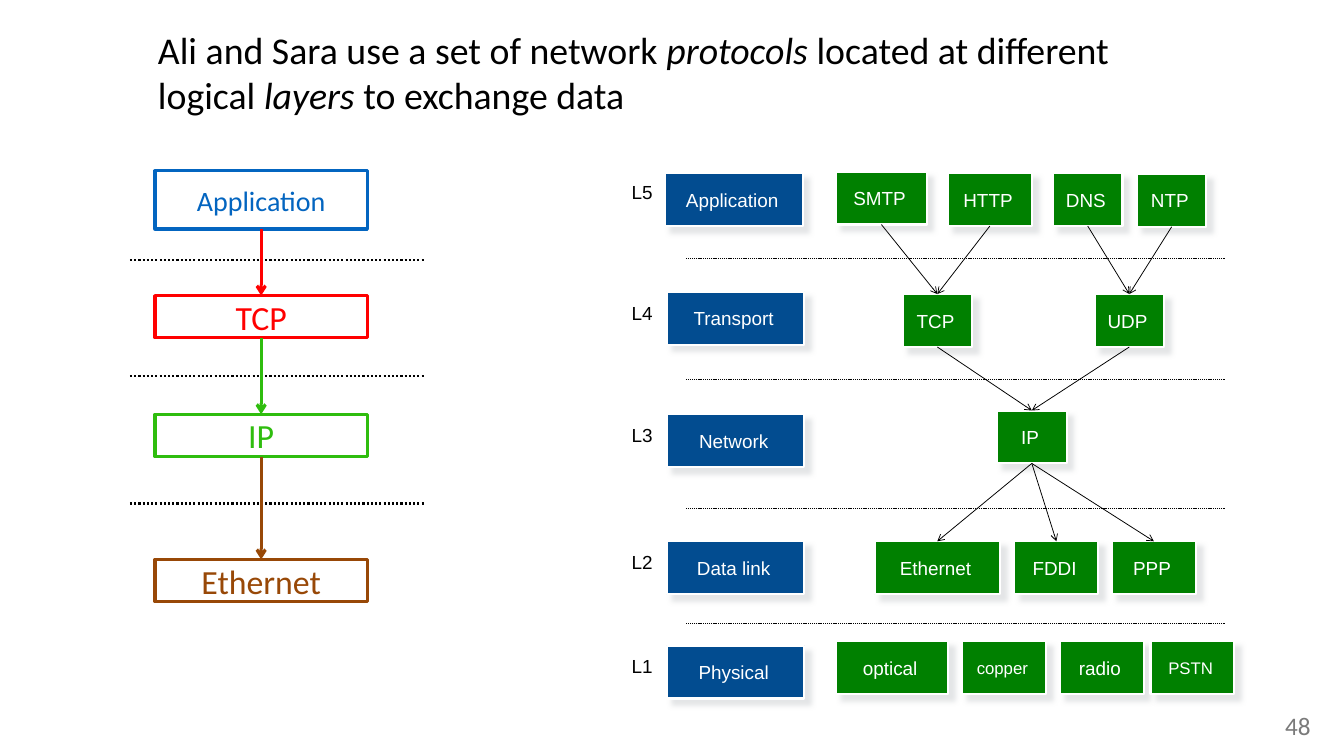
from lxml import etree
from pptx import Presentation
from pptx.dml.color import RGBColor
from pptx.enum.dml import MSO_LINE
from pptx.enum.shapes import MSO_CONNECTOR, MSO_SHAPE
from pptx.enum.text import MSO_ANCHOR, PP_ALIGN
from pptx.oxml import parse_xml
from pptx.oxml.ns import nsdecls, qn
from pptx.util import Inches, Pt

RECTANGLE = MSO_SHAPE.RECTANGLE
STRAIGHT = MSO_CONNECTOR.STRAIGHT
MIDDLE = MSO_ANCHOR.MIDDLE
CENTER = PP_ALIGN.CENTER
DOT, DASH = MSO_LINE.ROUND_DOT, MSO_LINE.DASH
BOTTOM, TOP = 2, 0
hex_color = RGBColor.from_string

SHADOW = (
    f'<a:effectLst {nsdecls("a")}>'
    '<a:outerShdw blurRad="63500" dist="101600" dir="2700000" algn="ctr" rotWithShape="0">'
    '<a:srgbClr val="DCDEE0"><a:alpha val="75000"/></a:srgbClr>'
    '</a:outerShdw></a:effectLst>'
)


def write_text(shape, text, font, size, color, insets=(0, 0, 0, 0)):
    """Write one centred, unwrapped line; insets are left, top, right, bottom."""
    frame = shape.text_frame
    frame.word_wrap = False
    frame.margin_left, frame.margin_top, frame.margin_right, frame.margin_bottom = map(Inches, insets)
    frame.text = text
    paragraph = frame.paragraphs[0]
    paragraph.alignment = CENTER
    run_font = paragraph.runs[0].font
    run_font.name = font
    run_font.size = Pt(size)
    run_font.color.rgb = hex_color(color)


def add_line(start, end, color, width, dash=None):
    """Join two boxes with an arrow, or draw a dashed rule between two points."""
    joined = dash is None
    points = (0, 0, 0, 0) if joined else map(Inches, start + end)
    line = slide.shapes.add_connector(STRAIGHT, *points)
    line.line.color.rgb = hex_color(color)
    line.line.width = Pt(width)
    if joined:
        line.begin_connect(start, BOTTOM)
        line.end_connect(end, TOP)
        etree.SubElement(line.line._get_or_add_ln(), qn("a:tailEnd"), type="arrow")
    else:
        line.line.dash_style = dash
    etree.SubElement(line._element.spPr, qn("a:effectLst"))


prs = Presentation()
prs.slide_width = Inches(17.78)
prs.slide_height = Inches(10)
slide = prs.slides.add_slide(prs.slide_layouts[6])

# Page number and heading
page_number = slide.shapes.add_textbox(Inches(16.94), Inches(9.39), Inches(0.46), Inches(0.5))
write_text(page_number, "48", "Calibri", 24, "7A7A7A")

heading = slide.shapes.add_textbox(Inches(1.74), Inches(0), Inches(14.2), Inches(1.9))
heading_frame = heading.text_frame
heading_frame.word_wrap = True
heading_frame.vertical_anchor = MIDDLE
heading_frame.margin_left = Inches(0.35)
heading_frame.margin_top = heading_frame.margin_right = heading_frame.margin_bottom = 0
for text, italic in [
    ("Ali and Sara use a set of network ", False),
    ("protocols ", True),
    ("located at different logical ", False),
    ("layers ", True),
    ("to exchange data", False),
]:
    run = heading_frame.paragraphs[0].add_run()
    run.text = text
    run.font.name = "Calibri"
    run.font.size = Pt(36)
    run.font.italic = italic
    run.font.color.rgb = hex_color("000000")

# Left: the stack used for one exchange
for y in (3.44, 4.97, 6.66):
    add_line((1.72, y), (5.61, y), "000000", 2, DOT)

upper_layer = None
for name, top, height, size, color, arrow_color in [
    ("Application", 2.26, 0.77, 26.7, "0365C0", None),
    ("TCP", 3.91, 0.56, 32.2, "FF0000", "FF0000"),
    ("IP", 5.48, 0.56, 32.2, "2FBD0E", "2FBD0E"),
    ("Ethernet", 7.4, 0.56, 32.2, "984807", "984807"),
]:
    layer = slide.shapes.add_shape(RECTANGLE, Inches(2.05), Inches(top), Inches(2.81), Inches(height))
    layer.shadow.inherit = False
    layer.fill.background()
    layer.line.color.rgb = hex_color(color)
    layer.line.width = Pt(3)
    layer.text_frame.vertical_anchor = MIDDLE
    write_text(layer, name, "Calibri", size, color)
    if upper_layer is not None:
        add_line(upper_layer, layer, arrow_color, 3)
    upper_layer = layer

# Right: every layer with its protocols as (name, left, top, width)
layers = [
    ("L5", 2.41, ("Application", 8.8, 2.29, 1.82),
     [("SMTP", 11.06, 2.27, 1.2), ("HTTP", 12.54, 2.29, 1.11),
      ("DNS", 13.93, 2.29, 0.92), ("NTP", 15.04, 2.3, 0.92)]),
    ("L4", 4, ("Transport", 8.82, 3.86, 1.82),
     [("TCP", 11.94, 3.89, 0.92), ("UDP", 14.48, 3.89, 0.92)]),
    ("L3", 5.62, ("Network", 8.82, 5.48, 1.82),
     [("IP", 13.19, 5.43, 0.92)]),
    ("L2", 7.3, ("Data link", 8.82, 7.16, 1.82),
     [("Ethernet", 11.57, 7.16, 1.66), ("FDDI", 13.42, 7.16, 1.11), ("PPP", 14.71, 7.16, 1.11)]),
    ("L1", 8.68, ("Physical", 8.82, 8.54, 1.82),
     [("optical", 11.06, 8.48, 1.48), ("copper", 12.73, 8.48, 1.11),
      ("radio", 14.02, 8.48, 1.11), ("PSTN", 15.22, 8.48, 1.11)]),
]
boxes = {}
for level, level_top, layer_name, protocols in layers:
    level_label = slide.shapes.add_textbox(Inches(8.29), Inches(level_top), Inches(0.44), Inches(0.47))
    write_text(level_label, level, "Arial", 18, "000000", (0.04, 0.03, 0.07, 0.03))
    level_label.text_frame.paragraphs[0].line_spacing = 0.85

    for name, left, top, width in [layer_name] + protocols:
        box = slide.shapes.add_shape(RECTANGLE, Inches(left), Inches(top), Inches(width), Inches(0.7))
        box.fill.solid()
        box.fill.fore_color.rgb = hex_color("024C90" if name == layer_name[0] else "008000")
        box.line.color.rgb = hex_color("FFFFFF")
        box.line.width = Pt(2)
        box._element.spPr.append(parse_xml(SHADOW))
        box.text_frame.vertical_anchor = MIDDLE
        size = 16 if name in ("copper", "PSTN") else 18
        write_text(box, name, "Arial", size, "FFFFFF", (0.05, 0.04, 0.1, 0.04))
        boxes[name] = box

for source, target in [
    ("SMTP", "TCP"), ("HTTP", "TCP"), ("NTP", "UDP"), ("DNS", "UDP"),
    ("TCP", "IP"), ("UDP", "IP"),
    ("IP", "Ethernet"), ("IP", "FDDI"), ("IP", "PPP"),
]:
    add_line(boxes[source], boxes[target], "000000", 0.75)

for y in (3.41, 5.01, 6.72, 8.24):
    add_line((9.08, y), (16.21, y), "000000", 0.25, DASH)

prs.save("out.pptx")
